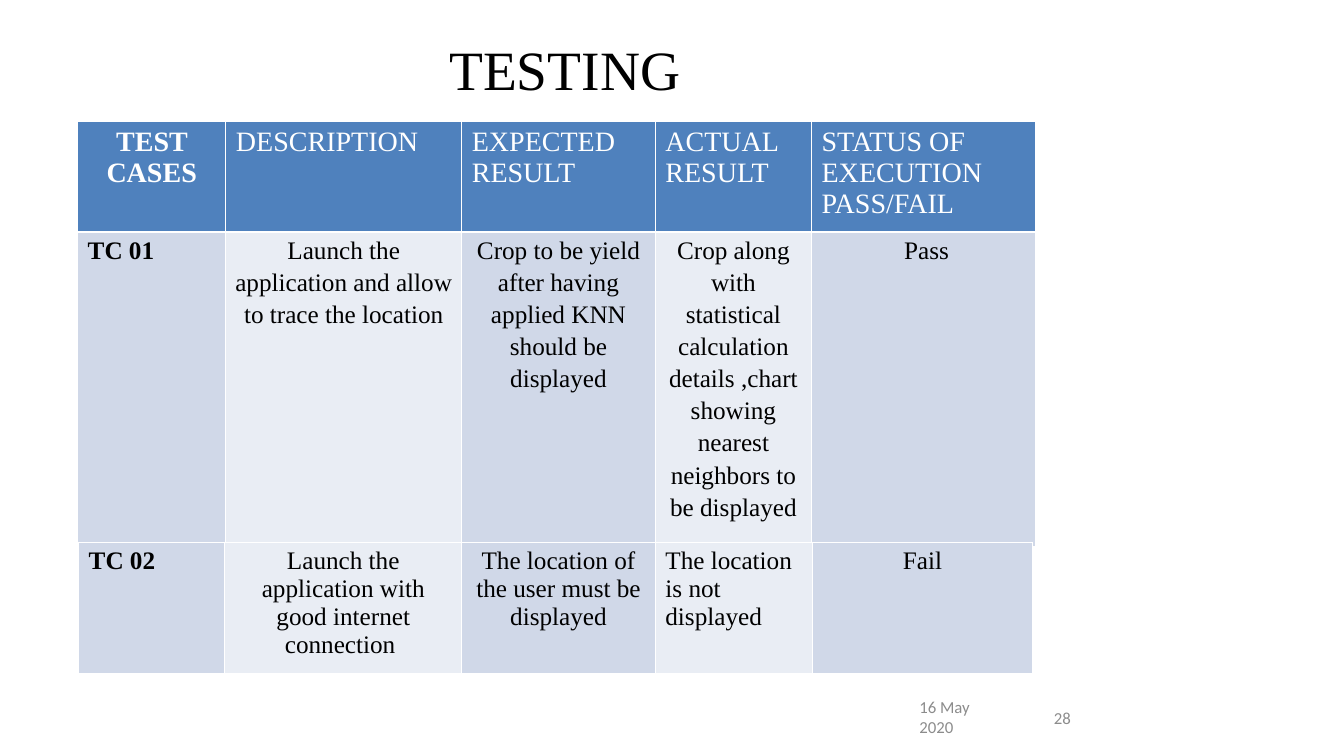
from lxml.etree import SubElement
from pptx import Presentation
from pptx.dml.color import RGBColor
from pptx.enum.text import MSO_ANCHOR as ANCHOR, PP_ALIGN as ALIGN
from pptx.oxml.ns import qn
from pptx.util import Inches, Pt

WHITE = RGBColor(0xFF, 0xFF, 0xFF)
BLACK = RGBColor(0, 0, 0)
GREY = RGBColor(0x8C, 0x8C, 0x8C)
HEADER_BLUE = RGBColor(0x4F, 0x81, 0xBD)
BANDS = [RGBColor(0xD0, 0xD8, 0xE8), RGBColor(0xE9, 0xED, 0xF4)]
SERIF, SANS = "Times New Roman", "Calibri"

HEADER = {"size": Pt(20), "name": SERIF, "bold": False, "color": WHITE}
BODY = {"size": Pt(18), "name": SERIF, "bold": False, "color": BLACK}
FOOTER = {"size": Pt(12), "name": SANS, "bold": False, "color": GREY}
TITLE = {"size": Pt(39.6), "name": SERIF, "bold": False, "color": BLACK}

# Paragraph formats
LEFT = {"alignment": ALIGN.LEFT}
CENTER = {"alignment": ALIGN.CENTER}
RIGHT = {"alignment": ALIGN.RIGHT}
SPACED = {"alignment": ALIGN.CENTER, "line_spacing": 1.15, "space_after": Pt(10)}
TIGHT = {"margin_left": Inches(0.07), "margin_right": Inches(0.07),
         "margin_top": Inches(0.01), "margin_bottom": 0}

# Each cell: text, paragraph format
HEADINGS = [("TEST CASES", CENTER), ("DESCRIPTION", LEFT), ("EXPECTED RESULT", LEFT),
            ("ACTUAL RESULT", LEFT), ("STATUS OF EXECUTION\nPASS/FAIL", LEFT)]
CASE_1 = [("TC 01", LEFT),
          ("Launch the application and allow to trace the location", SPACED),
          ("Crop to be yield after having applied KNN should be displayed", SPACED),
          ("Crop along with statistical calculation details ,chart showing "
           "nearest neighbors to be displayed", SPACED),
          (" Pass", CENTER)]
CASE_2 = [("TC 02", LEFT),
          ("Launch the application with good internet connection ", CENTER),
          ("The location of the user must be displayed", CENTER),
          ("The location is not displayed", LEFT),
          ("Fail", CENTER)]


def set_attrs(obj, values):
    for name, value in values.items():
        setattr(obj, name, value)


def write(tf, text, font, para):
    tf.text = text
    for p in tf.paragraphs:
        set_attrs(p, para)
        for r in p.runs:
            set_attrs(r.font, {k: v for k, v in font.items() if k != "color"})
            r.font.color.rgb = font["color"]


def add_borders(cell):
    tc_pr = cell._tc.get_or_add_tcPr()
    for side in ("lnL", "lnR", "lnT", "lnB"):
        ln = SubElement(tc_pr, qn(f"a:{side}"), w=str(Pt(1)))
        fill = SubElement(ln, qn("a:solidFill"))
        SubElement(fill, qn("a:srgbClr"), val=str(WHITE))


def place_title(slide, box, text):
    sp = slide.shapes.title
    set_attrs(sp, dict(zip(("left", "top", "width", "height"), map(Inches, box))))
    sp.text_frame.vertical_anchor = ANCHOR.MIDDLE
    write(sp.text_frame, text, TITLE, CENTER)


def add_footer(slide, box, text, para):
    tf = slide.shapes.add_textbox(*map(Inches, box)).text_frame
    set_attrs(tf, {"word_wrap": True, "vertical_anchor": ANCHOR.MIDDLE})
    write(tf, text, FOOTER, para)


def add_test_table(slide, left, top, widths, heights, rows):
    frame = slide.shapes.add_table(len(rows), len(widths), Inches(left), Inches(top),
                                   Inches(sum(widths)), Inches(sum(heights)))
    table = frame.table
    set_attrs(table, {"first_row": False, "horz_banding": False})
    for col, width in zip(table.columns, widths):
        col.width = Inches(width)
    for row, height, cells in zip(table.rows, heights, rows):
        row.height = Inches(height)
        is_header = cells is HEADINGS
        for i, (cell, (text, para)) in enumerate(zip(row.cells, cells)):
            font = dict(HEADER if is_header else BODY, bold=i == 0)
            write(cell.text_frame, text, font, para)
            if para is SPACED:
                set_attrs(cell, TIGHT)
            add_borders(cell)
            cell.fill.solid()
            cell.fill.fore_color.rgb = HEADER_BLUE if is_header else BANDS[i % 2]


def build_testing_slide(prs):
    slide = prs.slides.add_slide(prs.slide_layouts[5])
    place_title(slide, (0.97, 0.3, 9.4, 0.76), "TESTING ")
    # Date and slide number
    add_footer(slide, (9.02, 6.91, 1, 0.4), "16 May 2020", LEFT)
    add_footer(slide, (9.97, 6.92, 0.75, 0.4), "28", RIGHT)
    # Test cases, the second continuing below the first
    add_test_table(slide, 0.77, 1.2, [1.47, 2.34, 1.92, 1.55, 2.22], [1.1, 3.12],
                   [HEADINGS, CASE_1])
    add_test_table(slide, 0.78, 5.38, [1.45, 2.35, 1.92, 1.56, 2.18], [1.2], [CASE_2])


def main():
    prs = Presentation()
    set_attrs(prs, {"slide_width": Inches(13.33), "slide_height": Inches(7.5)})
    build_testing_slide(prs)
    prs.save("out.pptx")


if __name__ == "__main__":
    main()
